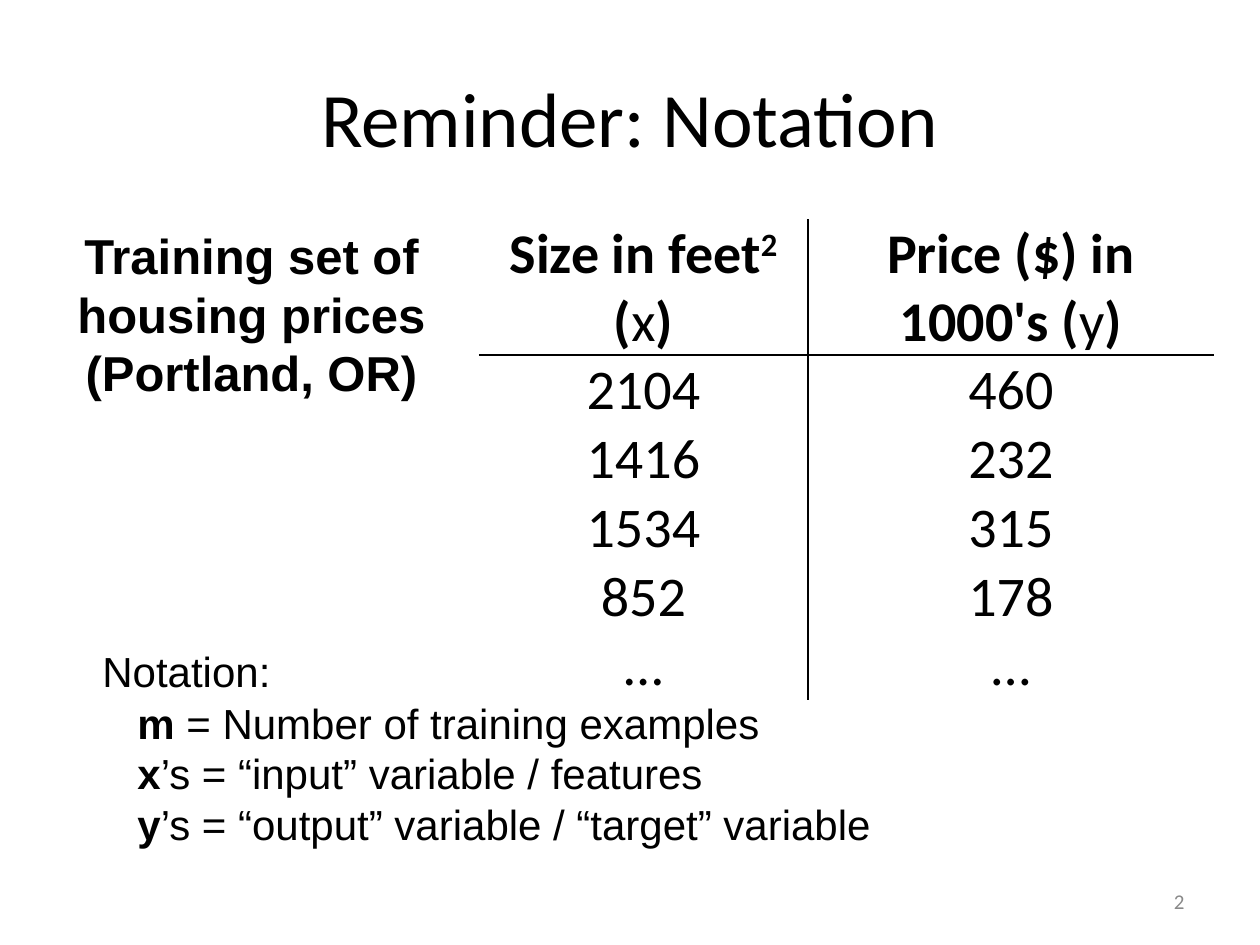
from lxml import etree
from pptx import Presentation
from pptx.dml.color import RGBColor
from pptx.enum.text import MSO_ANCHOR, PP_ALIGN
from pptx.oxml.ns import qn
from pptx.util import Emu, Pt

LEFT, CENTER, RIGHT = PP_ALIGN.LEFT, PP_ALIGN.CENTER, PP_ALIGN.RIGHT
TOP, MIDDLE, BOTTOM = MSO_ANCHOR.TOP, MSO_ANCHOR.MIDDLE, MSO_ANCHOR.BOTTOM
COLORS = {"ink": "000000", "muted": "898989"}
HEADER = [
    [("Size in feet", {}), ("2", {"sup": True}), (" (", {}), ("x", {"bold": False}), (")", {})],
    [("Price ($) in 1000's (", {}), ("y", {"bold": False}), (")", {})],
]
ROWS = [("2104", "460"), ("1416", "232"), ("1534", "315"), ("852", "178"), ("…", "…")]
NOTATION = [
    ("m", " = Number of training examples"),
    ("x", "’s = “input” variable / features"),
    ("y", "’s = “output” variable / “target” variable"),
]


def px(n):
    return Emu(round(n * 914400 / 126))


def add_run(p, text, size=24, font="Arial", color="ink", bold=False, sup=False):
    r = p.add_run()
    r.text = text
    r.font.size = Pt(size)
    r.font.name = font
    r.font.bold = bold
    r.font.color.rgb = RGBColor.from_string(COLORS[color])
    if sup:
        r._r.get_or_add_rPr().set("baseline", "30000")


def write(tf, paragraphs, align=LEFT, **fmt):
    for i, runs in enumerate(paragraphs):
        p = tf.add_paragraph() if i else tf.paragraphs[0]
        p.alignment = align
        for text, extra in runs:
            add_run(p, text, **{**fmt, **extra})


def add_text(s, box, paragraphs, anchor=TOP, wrap=True, **fmt):
    tf = s.shapes.add_textbox(*map(px, box)).text_frame
    tf.word_wrap = wrap
    tf.vertical_anchor = anchor
    write(tf, paragraphs, **fmt)
    return tf


def set_borders(cell, sides):
    tcPr = cell._tc.get_or_add_tcPr()
    for i, side in enumerate("LRTB"):
        ln = etree.Element(qn(f"a:ln{side}"), w=str(Pt(1)))
        if side in sides:
            fill = etree.SubElement(ln, qn("a:solidFill"))
            etree.SubElement(fill, qn("a:srgbClr"), val=COLORS["ink"])
        else:
            etree.SubElement(ln, qn("a:noFill"))
        tcPr.insert(i, ln)


def add_price_table(s):
    rows = [HEADER] + [[[(text, {})] for text in row] for row in ROWS]
    widths, heights = (329, 406), [136] + [69] * len(ROWS)
    table = s.shapes.add_table(
        len(rows), 2, px(479), px(219), px(sum(widths)), px(sum(heights))
    ).table
    table.first_row = table.horz_banding = False
    for col, width in zip(table.columns, widths):
        col.width = px(width)
    for i, row in enumerate(rows):
        table.rows[i].height = px(heights[i])
        for j, runs in enumerate(row):
            cell = table.cell(i, j)
            cell.fill.background()
            cell.margin_left = cell.margin_right = cell.margin_top = px(1)
            cell.margin_bottom = 0
            cell.vertical_anchor = BOTTOM if i else MIDDLE
            write(cell.text_frame, [runs], align=CENTER, size=32, font="Calibri", bold=i == 0)
            set_borders(cell, "RL"[j] + {0: "B", 1: "T"}.get(i, ""))


def add_notation(s):
    lines = [[("Notation:", {})]]
    lines += [[(symbol, {"bold": True}), (meaning, {})] for symbol, meaning in NOTATION]
    tf = add_text(s, (90, 639, 801, 218), lines, wrap=False)
    for p in tf.paragraphs[1:]:
        p._p.get_or_add_pPr().set("marL", str(px(35)))
    tf.paragraphs[1].space_before = Pt(1)


def main():
    prs = Presentation()
    prs.slide_width, prs.slide_height = px(1260), px(945)
    s = prs.slides.add_slide(prs.slide_layouts[6])
    add_notation(s)
    add_price_table(s)
    training = ("Training set of", "housing prices", "(Portland, OR)")
    add_text(s, (63, 219, 377, 190), [[(line, {})] for line in training],
             wrap=False, align=CENTER, size=28, bold=True)
    add_text(s, (903, 876, 294, 50), [[("2", {})]], anchor=MIDDLE,
             align=RIGHT, size=12, font="Calibri", color="muted")
    add_text(s, (63, 38, 1134, 158), [[("Reminder: Notation", {})]], anchor=MIDDLE,
             align=CENTER, size=44, font="Calibri")
    prs.save("out.pptx")


main()
